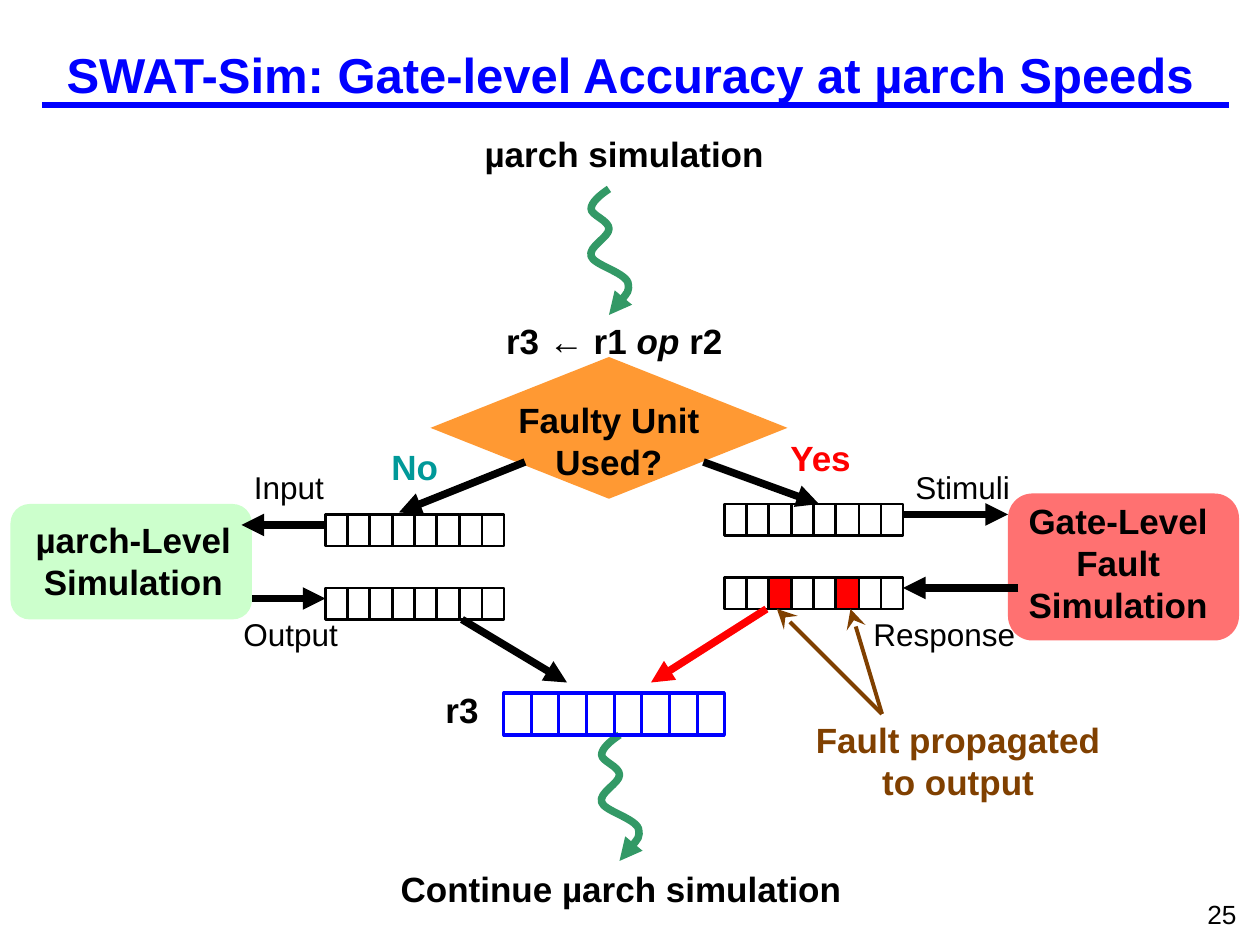
"""Build the SWAT-Sim flow slide: gate-level accuracy at µarch speeds."""
from dataclasses import dataclass

from pptx import Presentation
from pptx.dml.color import RGBColor
from pptx.enum.shapes import MSO_CONNECTOR, MSO_SHAPE
from pptx.enum.text import MSO_ANCHOR, MSO_AUTO_SIZE, PP_ALIGN
from pptx.oxml.xmlchemy import OxmlElement
from pptx.shapes.autoshape import Shape
from pptx.slide import Slide
from pptx.util import Emu, Pt

PX = 7620
CELL_COUNT = 8
STRAIGHT = MSO_CONNECTOR.STRAIGHT
RECTANGLE = MSO_SHAPE.RECTANGLE
ROUNDED = MSO_SHAPE.ROUNDED_RECTANGLE
DECISION = MSO_SHAPE.FLOWCHART_DECISION
LEFT, CENTER = PP_ALIGN.LEFT, PP_ALIGN.CENTER
TOP, MIDDLE = MSO_ANCHOR.TOP, MSO_ANCHOR.MIDDLE
FIT_SHAPE = MSO_AUTO_SIZE.SHAPE_TO_FIT_TEXT


@dataclass(frozen=True)
class Theme:
    font: str = "Arial"
    black: str = "000000"
    blue: str = "0000FF"
    red: str = "FF0000"
    teal: str = "009999"
    brown: str = "804000"
    green: str = "339966"
    orange: str = "FF9933"
    pale_green: str = "CCFFCC"
    pale_red: str = "FF7171"
    title: int = 28
    strong: int = 20
    plain: int = 18
    number: int = 15
    flow_line: float = 4.31
    rule_line: float = 3
    note_line: float = 2.25
    cell_line: float = 1.5
    result_line: float = 1.75


THEME = Theme()


@dataclass(frozen=True)
class Box:
    left: int
    top: int
    width: int
    height: int

    def emu(self) -> tuple[Emu, ...]:
        return tuple(Emu(value * PX) for value in (self.left, self.top, self.width, self.height))


@dataclass(frozen=True)
class Label:
    text: str
    box: Box
    size: int = THEME.strong
    color: str = THEME.black
    bold: bool = True
    align: PP_ALIGN = CENTER
    anchor: MSO_ANCHOR = TOP
    wrap: bool = False


@dataclass(frozen=True)
class Block:
    kind: MSO_SHAPE
    box: Box
    fill: str


@dataclass(frozen=True)
class Line:
    start: tuple[int, int]
    end: tuple[int, int]
    color: str = THEME.black
    width: float = THEME.flow_line
    arrow: str = "triangle"
    arrow_size: str = "med"


@dataclass(frozen=True)
class Register:
    box: Box
    color: str = THEME.black
    width: float = THEME.cell_line
    faulty: tuple[int, ...] = ()


SQUIGGLE = [
    (-9, 6), (-17, 13), (-17, 19), (-17, 25), (0, 30), (0, 38), (0, 46), (-20, 55),
    (-17, 64), (-15, 72), (14, 79), (18, 89), (20, 98), (10, 109), (0, 120),
]
SQUIGGLE_STARTS = [(580, 180), (590, 700)]

DIAMOND = Block(DECISION, Box(410, 340, 340, 135), THEME.orange)
SIMULATORS = [
    Block(ROUNDED, Box(10, 480, 230, 110), THEME.pale_green),
    Block(ROUNDED, Box(960, 470, 220, 140), THEME.pale_red),
]
QUESTION = Label("Faulty Unit\nUsed?", DIAMOND.box)

LABELS = [
    Label("SWAT-Sim: Gate-level Accuracy at µarch Speeds", Box(0, 20, 1200, 100),
          THEME.title, THEME.blue, anchor=MIDDLE, wrap=True),
    Label("25", Box(1138, 850, 62, 42), THEME.number, bold=False, align=LEFT, wrap=True),
    Label("µarch simulation", Box(440, 120, 309, 53)),
    Label("r3 ← r1 *op* r2", Box(420, 298, 330, 53), wrap=True),
    Label("Continue µarch simulation", Box(280, 820, 623, 53), wrap=True),
    Label("µarch-Level\nSimulation", Box(21, 488, 212, 92), wrap=True),
    Label("Gate-Level\nFault\nSimulation", Box(950, 470, 230, 132), wrap=True),
    Label("No", Box(353, 418, 84, 53), color=THEME.teal),
    Label("Yes", Box(732, 410, 99, 53), color=THEME.red),
    Label("Input", Box(230, 440, 104, 48), THEME.plain, bold=False, align=LEFT),
    Label("Output", Box(220, 580, 128, 48), THEME.plain, bold=False, align=LEFT),
    Label("Stimuli", Box(860, 440, 128, 48), THEME.plain, bold=False, align=LEFT),
    Label("Response", Box(820, 580, 174, 48), THEME.plain, bold=False, align=LEFT),
    Label("Fault propagated\nto output", Box(755, 678, 315, 92), color=THEME.brown),
    Label("r3", Box(400, 650, 80, 53), wrap=True),
]

REGISTERS = [
    Register(Box(310, 490, 170, 30)),
    Register(Box(310, 560, 170, 30)),
    Register(Box(690, 480, 170, 30)),
    Register(Box(690, 550, 170, 30), faulty=(2, 5)),
    Register(Box(480, 660, 210, 40), THEME.blue, THEME.result_line),
]

LINES = [
    Line((40, 100), (1170, 100), THEME.blue, THEME.rule_line, "none"),
    Line((500, 440), (380, 488)),
    Line((670, 440), (780, 480)),
    Line((310, 500), (230, 500)),
    Line((240, 570), (310, 570)),
    Line((860, 490), (960, 490)),
    Line((970, 560), (860, 560)),
    Line((440, 590), (540, 650)),
    Line((730, 580), (620, 650), THEME.red),
    Line((840, 680), (740, 580), THEME.brown, THEME.note_line, "stealth", "lg"),
    Line((840, 680), (810, 580), THEME.brown, THEME.note_line, "stealth", "lg"),
]


def style_line(shape, color: str, width: float, arrow: str = "none", size: str = "med") -> None:
    shape.line.color.rgb = RGBColor.from_string(color)
    shape.line.width = Pt(width)
    if arrow != "none":
        tail = OxmlElement("a:tailEnd")
        for name, value in (("type", arrow), ("w", size), ("len", size)):
            tail.set(name, value)
        shape.line._get_or_add_ln().append(tail)


def write_text(shape: Shape, label: Label) -> None:
    frame = shape.text_frame
    frame.word_wrap = label.wrap
    frame.vertical_anchor = label.anchor
    frame.text = label.text.replace("*", "")
    for paragraph, source in zip(frame.paragraphs, label.text.split("\n")):
        paragraph.alignment = label.align
        if "*" in source:
            paragraph.clear()
            for index, part in enumerate(source.split("*")):
                run = paragraph.add_run()
                run.text = part
                run.font.italic = index % 2 == 1
        for run in paragraph.runs:
            run.font.name = THEME.font
            run.font.size = Pt(label.size)
            run.font.bold = label.bold
            run.font.color.rgb = RGBColor.from_string(label.color)


def draw_label(slide: Slide, label: Label) -> None:
    shape = slide.shapes.add_textbox(*label.box.emu())
    write_text(shape, label)
    if label.anchor == TOP:
        shape.text_frame.auto_size = FIT_SHAPE


def draw_block(slide: Slide, block: Block) -> Shape:
    shape = slide.shapes.add_shape(block.kind, *block.box.emu())
    shape.shadow.inherit = False
    shape.fill.solid()
    shape.fill.fore_color.rgb = RGBColor.from_string(block.fill)
    shape.line.fill.background()
    return shape


def draw_register(slide: Slide, register: Register) -> None:
    box = register.box
    edges = [box.left + round(box.width * i / CELL_COUNT) for i in range(CELL_COUNT + 1)]
    for index, (left, right) in enumerate(zip(edges, edges[1:])):
        cell_box = Box(left, box.top, right - left, box.height)
        cell = draw_block(slide, Block(RECTANGLE, cell_box, THEME.red))
        if index not in register.faulty:
            cell.fill.background()
        style_line(cell, register.color, register.width)


def draw_line(slide: Slide, line: Line) -> None:
    ends = [Emu(value * PX) for value in line.start + line.end]
    connector = slide.shapes.add_connector(STRAIGHT, *ends)
    style_line(connector, line.color, line.width, line.arrow, line.arrow_size)
    connector._element.spPr.append(OxmlElement("a:effectLst"))


def draw_squiggle(slide: Slide, start: tuple[int, int]) -> None:
    builder = slide.shapes.build_freeform(*start, scale=PX)
    builder.add_line_segments([(start[0] + x, start[1] + y) for x, y in SQUIGGLE], close=False)
    shape = builder.convert_to_shape()
    segments = shape._element.xpath(".//a:lnTo")
    for first in range(0, len(segments), 3):
        curve = OxmlElement("a:cubicBezTo")
        segments[first].addprevious(curve)
        for segment in segments[first:first + 3]:
            curve.append(segment[0])
            segment.getparent().remove(segment)
    shape.shadow.inherit = False
    shape.fill.background()
    style_line(shape, THEME.green, THEME.flow_line, "triangle")


def main() -> None:
    presentation = Presentation()
    presentation.slide_width, presentation.slide_height = Emu(1200 * PX), Emu(900 * PX)
    slide = presentation.slides.add_slide(presentation.slide_layouts[6])
    for start in SQUIGGLE_STARTS:
        draw_squiggle(slide, start)
    write_text(draw_block(slide, DIAMOND), QUESTION)
    for block in SIMULATORS:
        draw_block(slide, block)
    for label in LABELS:
        draw_label(slide, label)
    for register in REGISTERS:
        draw_register(slide, register)
    for line in LINES:
        draw_line(slide, line)
    presentation.save("out.pptx")


if __name__ == "__main__":
    main()
